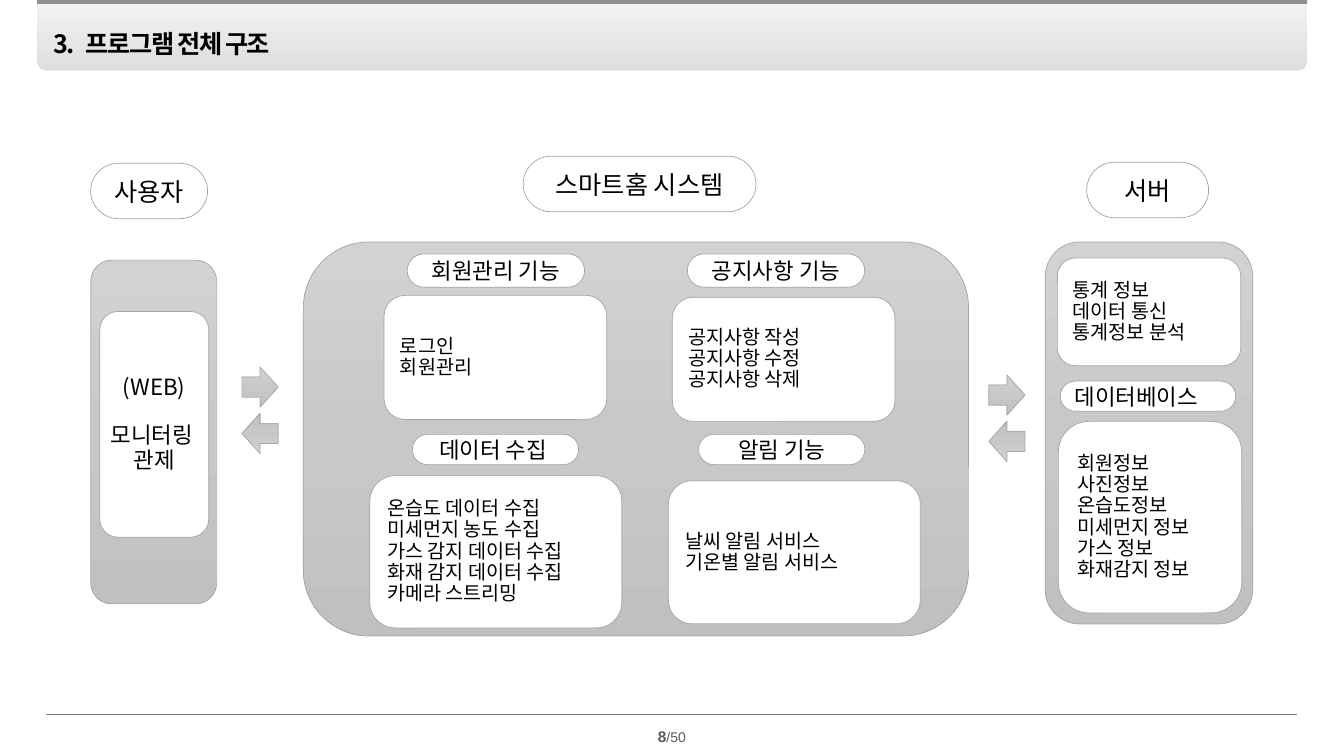
import pptx
import pptx.util
import pptx.dml.color
import pptx.enum.shapes
import pptx.enum.text
import pptx.oxml.ns
import lxml.etree

Pt = pptx.util.Pt
qn = pptx.oxml.ns.qn
SHAPE = pptx.enum.shapes.MSO_SHAPE
ALIGN = pptx.enum.text.PP_ALIGN
ANCHOR = pptx.enum.text.MSO_ANCHOR

COLORS = {"text": "000000", "white": "FFFFFF", "edge": "A5A5A5", "bar": "909090",
          "rule": "808080", "page": "595959"}
HEADER = [(0, "DEDEDE"), (100, "F2F2F2")]
PANEL = [(0, "D2D2D2"), (50, "C8C8C8"), (100, "C0C0C0")]


class Deck:
    """Draws styled elements on the current slide."""

    font = "Noto Sans CJK KR"

    def __init__(self, s):
        self.s = s

    def color(self, name):
        return pptx.dml.color.RGBColor.from_string(COLORS[name])

    def shape(self, kind, box, fill=None, stops=None, angle=270, edge="edge", adj=()):
        sp = self.s.shapes.add_shape(kind, *map(Pt, box))
        sp.shadow.inherit = False
        for i, value in enumerate(adj):
            sp.adjustments[i] = value
        if stops:
            self.gradient(sp, stops, angle)
        else:
            sp.fill.solid()
            sp.fill.fore_color.rgb = self.color(fill)
        if edge:
            sp.line.color.rgb = self.color(edge)
            sp.line.width = Pt(0.5)
        else:
            sp.line.fill.background()
        return sp

    def gradient(self, sp, stops, angle):
        sp.fill.gradient()
        sp.fill.gradient_angle = angle
        gs_list = sp.element.spPr.find(".//" + qn("a:gsLst"))
        for gs in list(gs_list):
            gs_list.remove(gs)
        for pos, rgb in stops:
            gs = lxml.etree.SubElement(gs_list, qn("a:gs"), pos=str(pos * 1000))
            lxml.etree.SubElement(gs, qn("a:srgbClr"), val=rgb)

    def style(self, p, size, bold=False):
        p.font.size = Pt(size)
        p.font.name = self.font
        p.font.bold = bold
        p.font.color.rgb = self.color("text")
        props = p._p.pPr.find(qn("a:defRPr"))
        lxml.etree.SubElement(props, qn("a:ea"), typeface=self.font)
        return props

    def title(self, text, box):
        sp = self.s.shapes.title
        sp.left, sp.top, sp.width, sp.height = map(Pt, box)
        sp.element.getparent().append(sp.element)
        tf = sp.text_frame
        tf.margin_left = tf.margin_right = tf.margin_top = tf.margin_bottom = 0
        tf.vertical_anchor = ANCHOR.TOP
        tf.auto_size = pptx.enum.text.MSO_AUTO_SIZE.NONE
        p = tf.paragraphs[0]
        p.text = text
        p.alignment = ALIGN.LEFT
        p.line_spacing = 0.9
        p._p.pPr.set("marL", str(Pt(23)))
        p._p.pPr.set("indent", str(-Pt(23)))
        self.style(p, 18, True).set("spc", "-100")

    def panel(self, *box):
        self.shape(SHAPE.ROUNDED_RECTANGLE, box, stops=PANEL)

    def arrows(self, x, y):
        for turn in (0, 1):
            sp = self.shape(SHAPE.RIGHT_ARROW, (x, y + 33.1 * turn, 25.9, 28.8), stops=PANEL)
            sp.rotation = 180 * turn

    def chip(self, text, box, size=16, align=ALIGN.CENTER):
        sp = self.shape(SHAPE.ROUNDED_RECTANGLE, box, "white", adj=[0.5])
        tf = sp.text_frame
        tf.word_wrap = True
        tf.vertical_anchor = ANCHOR.MIDDLE
        p = tf.paragraphs[0]
        p.text = text
        p.alignment = align
        self.style(p, size)

    def card(self, lines, box, size=14, align=ALIGN.LEFT):
        tf = self.shape(SHAPE.ROUNDED_RECTANGLE, box, "white").text_frame
        tf.word_wrap = False
        tf.vertical_anchor = ANCHOR.MIDDLE
        for i, line in enumerate(lines):
            p = tf.paragraphs[0] if i == 0 else tf.add_paragraph()
            p.text = line
            p.alignment = align
            p.line_spacing = 0.9
            self.style(p, size)
        return tf

    def rule(self, x1, x2, y):
        ln = self.s.shapes.add_connector(
            pptx.enum.shapes.MSO_CONNECTOR.STRAIGHT, Pt(x1), Pt(y), Pt(x2), Pt(y))
        ln.line.color.rgb = self.color("rule")
        ln.line.width = Pt(0.25)
        lxml.etree.SubElement(ln.element.spPr, qn("a:effectLst"))

    def page(self, number, total, box):
        tf = self.s.shapes.add_textbox(*map(Pt, box)).text_frame
        tf.margin_left = tf.margin_right = tf.margin_top = tf.margin_bottom = 0
        tf.word_wrap = False
        p = tf.paragraphs[0]
        p.alignment = ALIGN.CENTER
        p.font.name = "Arial"
        p.font.color.rgb = self.color("page")
        for text, size, bold in ((number, 11, True), (total, 10, False)):
            r = p.add_run()
            r.text = text
            r.font.size = Pt(size)
            r.font.bold = bold


def main():
    prs = pptx.Presentation()
    prs.slide_width, prs.slide_height = Pt(960), Pt(540)
    d = Deck(prs.slides.add_slide(prs.slide_layouts[5]))

    d.shape(SHAPE.ROUND_2_SAME_RECTANGLE, (26.6, 0.7, 907.2, 49.7), stops=HEADER,
            angle=90, edge=None, adj=[0, 0.127])
    d.shape(SHAPE.RECTANGLE, (26.6, 0, 907.2, 2.9), "bar", edge=None)
    d.rule(33.1, 926.6, 509.8)
    d.page("8", "/50", (465.1, 519.1, 29.5, 13.7))
    d.title("3.\t프로그램 전체 구조", (38.2, 22.3, 391, 20.2))

    d.chip("사용자", (64.8, 116.6, 83.5, 39.6), 18)
    d.chip("스마트홈 시스템", (373.7, 111.6, 166.3, 39.6), 18)
    d.chip("서버", (776.2, 115.9, 87.1, 39.6), 18)
    d.panel(64.8, 185.8, 90, 245.5)
    d.panel(216.7, 172.8, 475.2, 281.5)
    d.panel(746.6, 172.8, 148.3, 272.9)
    d.arrows(172.8, 262.1)
    d.arrows(706.3, 267.8)

    monitor = d.card(["(WEB)", "모니터링 ", "관제"], (71.3, 222.5, 77.8, 161.3),
                     16, ALIGN.CENTER)
    monitor.paragraphs[1].space_before = Pt(17.5)

    d.chip("회원관리 기능", (290.9, 181.4, 126.7, 23.8))
    d.chip("공지사항 기능", (491, 181.4, 126.7, 23.8))
    d.chip("데이터 수집 ", (294.5, 310.3, 118.8, 21.6))
    d.chip("알림 기능", (499, 310.3, 118.8, 21.6))
    d.card(["로그인", "회원관리"], (274.3, 211, 159.1, 88.6))
    d.card(["공지사항 작성", "공지사항 수정", "공지사항 삭제"], (480.2, 212.4, 159.1, 88.6))
    d.card(["온습도 데이터 수집", "미세먼지 농도 수집", "가스 감지 데이터 수집",
            "화재 감지 데이터 수집", "카메라 스트리밍"], (264.2, 339.8, 180, 108.7))
    d.card(["날씨 알림 서비스", "기온별 알림 서비스"], (477.4, 343.4, 180, 102.2))

    d.card(["통계 정보", "데이터 통신", "통계정보 분석"], (755.3, 184.3, 131, 77))
    d.chip("데이터베이스", (757.4, 272.2, 125.3, 21.6), align=ALIGN.LEFT)
    d.card(["회원정보", "사진정보", "온습도정보", "미세먼지 정보", "가스 정보",
            "화재감지 정보"], (756, 301, 131, 136.8))

    prs.save("out.pptx")


if __name__ == "__main__":
    main()
